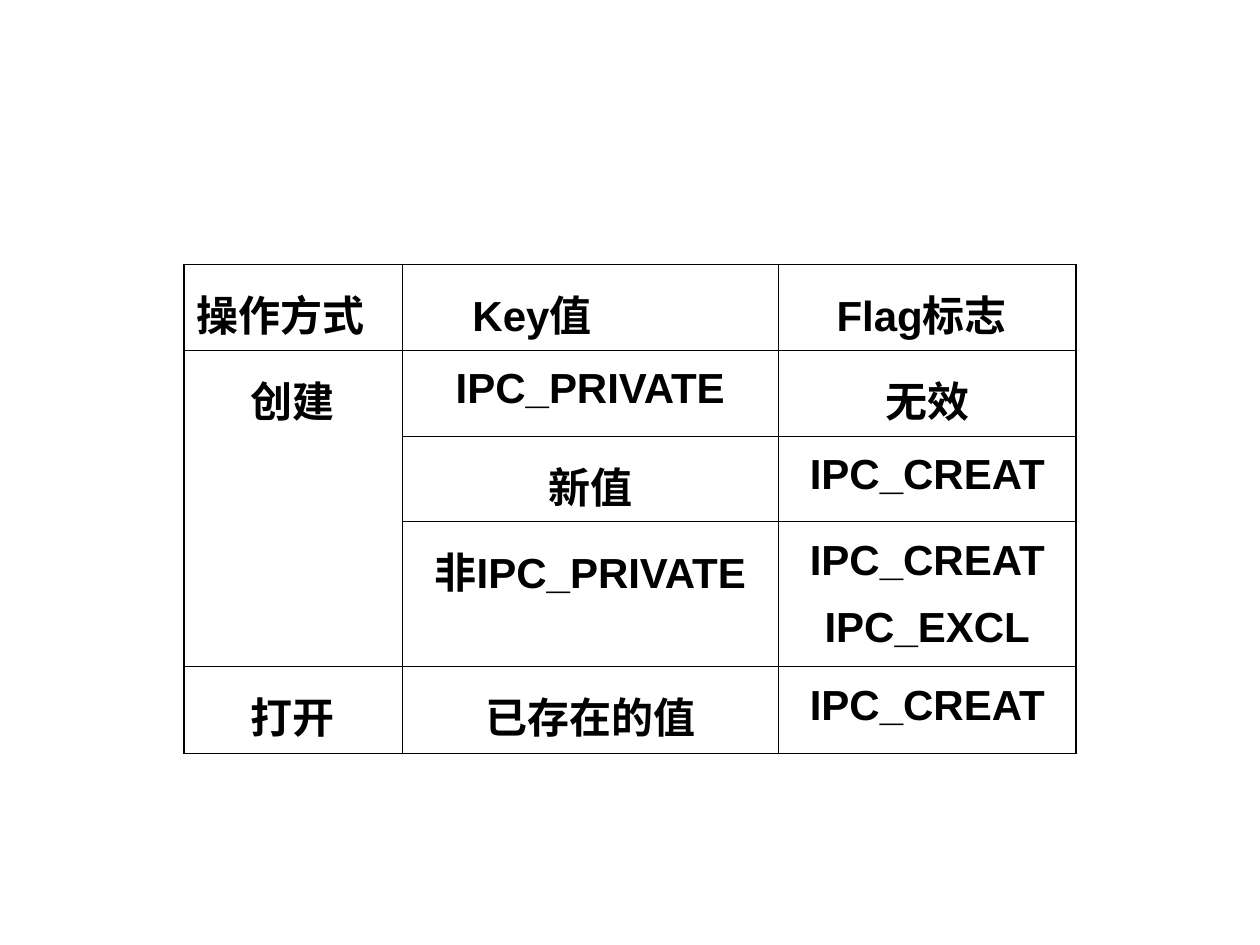
from pptx import Presentation
from pptx.dml.color import RGBColor
from pptx.enum.text import PP_ALIGN
from pptx.oxml import parse_xml
from pptx.oxml.ns import nsdecls
from pptx.util import Inches, Pt

BLACK = RGBColor(0, 0, 0)
THIN, THICK = Pt(0.45), Pt(1.08)

COL_WIDTHS = [1.73, 2.99, 2.36]
ROW_HEIGHTS = [0.58, 0.58, 0.62, 1.15, 0.69]
HEADER_INDENTS = [0, 0.46, 0.36]
ROWS = [
    ["操作方式", "Key值", "Flag标志"],
    ["创建", "IPC_PRIVATE", "无效"],
    ["", "新值", "IPC_CREAT"],
    ["", "非IPC_PRIVATE", "IPC_CREAT\nIPC_EXCL"],
    ["打开", "已存在的值", "IPC_CREAT"],
]


class SlideBuilder:
    def __init__(self, slide, font="Arial", size=24, color=BLACK):
        self.slide = slide
        self.font, self.size, self.color = font, Pt(size), color

    def table(self, left, top, rows, widths, heights):
        frame = self.slide.shapes.add_table(
            len(rows), len(widths), Inches(left), Inches(top),
            Inches(sum(widths)), Inches(sum(heights)))
        table = frame.table
        table.first_row = table.horz_banding = False
        for column, width in zip(table.columns, widths):
            column.width = Inches(width)
        for row, height in zip(table.rows, heights):
            row.height = Inches(height)
        last = len(widths) - 1
        for i, texts in enumerate(rows):
            for j, text in enumerate(texts):
                cell = table.cell(i, j)
                cell.fill.background()
                self.borders(cell, L=THIN if j else THICK,
                             R=THICK if j == last else THIN,
                             T=THIN if i else THICK, B=THIN)
                self.text(cell, text, PP_ALIGN.CENTER if i else PP_ALIGN.LEFT)
        return table

    def text(self, cell, text, align):
        cell.text = text
        for p in cell.text_frame.paragraphs:
            p.alignment = align
            p.line_spacing = 1.2
            p.space_before = Pt(6)
            p.font.name, p.font.size, p.font.bold = self.font, self.size, True
            p.font.color.rgb = self.color

    def borders(self, cell, **widths):
        """Draw the cell sides, given in the order L, R, T, B; they precede the fill."""
        tc_pr = cell._tc.get_or_add_tcPr()
        for i, (side, width) in enumerate(widths.items()):
            tc_pr.insert(i, parse_xml(
                f'<a:ln{side} {nsdecls("a")} w="{width}"><a:solidFill>'
                f'<a:srgbClr val="{self.color}"/></a:solidFill></a:ln{side}>'))

    def indent(self, cell, length):
        p_pr = cell.text_frame.paragraphs[0]._p.get_or_add_pPr()
        p_pr.set("marL", str(Inches(length)))


def main():
    prs = Presentation()
    prs.slide_width, prs.slide_height = Inches(10), Inches(7.5)
    s = SlideBuilder(prs.slides.add_slide(prs.slide_layouts[6]))
    table = s.table(1.46, 2.1, ROWS, COL_WIDTHS, ROW_HEIGHTS)
    table.cell(1, 0).merge(table.cell(3, 0))
    for j, length in enumerate(HEADER_INDENTS):
        s.indent(table.cell(0, j), length)
    prs.save("out.pptx")


if __name__ == "__main__":
    main()
